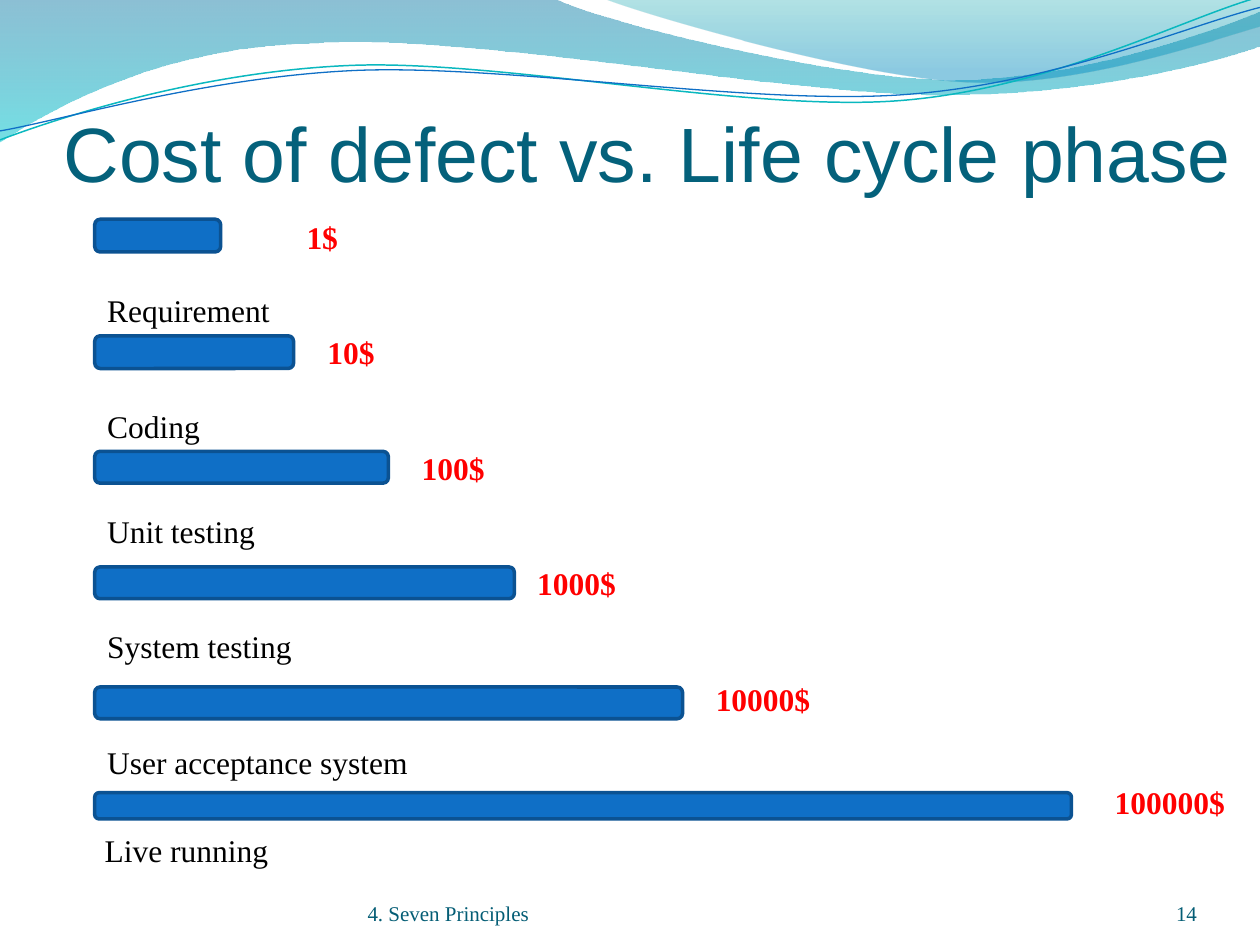
"""Build the slide that compares the cost of a defect across life cycle phases."""
from math import cos, radians, sin
from typing import Any, NamedTuple

from lxml.etree import SubElement
from pptx import Presentation
from pptx.dml.color import RGBColor
from pptx.enum.shapes import MSO_SHAPE
from pptx.enum.text import MSO_ANCHOR, MSO_AUTO_SIZE, PP_ALIGN
from pptx.oxml.ns import qn
from pptx.util import Cm, Pt

Point = tuple[float, float]
BLUE, BLUE_EDGE, TEAL = "0F6FC6", "0B5292", "0AB8BF"
BAR_LEFT = 1.91
TEXT_HEIGHT = 1.02
SERIF = "Times New Roman"
TILT = 2.7

LABEL_FONT = {"name": SERIF, "size": Pt(18), "bold": False}
COST_FONT = {**LABEL_FONT, "bold": True}
FOOTER_FONT = {"name": SERIF, "size": Pt(12)}
TITLE_FONT = {"name": "Arial", "size": Pt(44)}
GROWING = {"word_wrap": True, "auto_size": MSO_AUTO_SIZE.SHAPE_TO_FIT_TEXT}
FOOTER_FRAME = {
    "word_wrap": True, "vertical_anchor": MSO_ANCHOR.BOTTOM,
    "margin_left": 0, "margin_right": 0, "margin_top": 0, "margin_bottom": 0,
}
TITLE_FRAME = {**FOOTER_FRAME, "margin_top": Cm(0.13)}


class Area(NamedTuple):
    """A rectangle in centimetres."""
    left: float
    top: float
    width: float
    height: float


class Phase(NamedTuple):
    """A life cycle phase with its bar, its name and its cost."""
    name: str
    name_left: float
    name_top: float
    bar: Area
    cost: str
    cost_area: Area


class Stop(NamedTuple):
    """A gradient stop with its opacity in percent."""
    position: float
    colour: str
    opacity: int


class Outline(NamedTuple):
    """A start point and steps of one point (line) or three points (curve)."""
    start: Point
    steps: list[tuple[Point, ...]]


class Wave(NamedTuple):
    """A closed outline with a gradient."""
    outline: Outline
    stops: tuple[Stop, Stop]


class Ripple(NamedTuple):
    """An open line tilted about its centre."""
    outline: Outline
    centre: Point
    colour: str
    width: float


WAVES = [
    Wave(Outline((0, 0), [
        ((11.18, -0.03),),
        ((12.09, 0.43), (16.87, 1.6), (19.25, 1.6)),
        ((21.67, 1.6), (24.33, 0.66), (25.4, 0.23)),
        ((25.43, 0.91),),
        ((24.97, 1.12), (22.1, 1.93), (18.95, 1.91)),
        ((15.8, 1.91), (9.7, 0.71), (6.53, 0.86)),
        ((3.28, 0.91), (1.17, 2.11), (-0.03, 2.87)),
        ((0, 0),),
    ]), (Stop(0, "0074A1", 45), Stop(1, "00C6CF", 55))),
    Wave(Outline((12.17, -0.03), [
        ((12.93, 0.28), (17.32, 1.57), (19.53, 1.65)),
        ((21.74, 1.75), (24.41, 0.81), (25.4, 0.53)),
        ((25.4, 0),),
        ((12.17, -0.03),),
    ]), (Stop(0, "00A1A9", 30), Stop(0.8, "008BBF", 45))),
]

RIPPLES = [
    Ripple(Outline((0, 2.82), [
        ((1.22, 2.36), (4.01, 1.45), (7.04, 1.32)),
        ((10.03, 1.19), (15.06, 2.26), (18.11, 2.03)),
        ((21.16, 1.8), (23.83, 0.38), (25.35, -0.05)),
    ]), (12.67, 1.46), TEAL, 0.85),
    Ripple(Outline((0, 2.64), [
        ((1.19, 2.44), (4.17, 1.55), (7.19, 1.42)),
        ((10.24, 1.3), (15.16, 2.13), (18.21, 1.91)),
        ((21.23, 1.7), (23.9, 0.53), (25.4, 0.15)),
    ]), (12.69, 1.5), BLUE, 0.75),
]

PHASES = [
    Phase("Requirement", BAR_LEFT, 5.74, Area(BAR_LEFT, 4.42, 2.54, 0.66),
          "1$", Area(5.93, 4.27, 1.48, TEXT_HEIGHT)),
    Phase("Coding", BAR_LEFT, 8.08, Area(BAR_LEFT, 6.77, 4.01, 0.66),
          "10$", Area(6.35, 6.59, 1.48, TEXT_HEIGHT)),
    Phase("Unit testing", BAR_LEFT, 10.19, Area(BAR_LEFT, 9.1, 5.92, 0.64),
          "100$", Area(8.25, 8.92, 2.11, TEXT_HEIGHT)),
    Phase("System testing", BAR_LEFT, 12.52, Area(BAR_LEFT, 11.43, 8.46, 0.64),
          "1000$", Area(10.58, 11.25, 3.18, TEXT_HEIGHT)),
    Phase("User acceptance system", BAR_LEFT, 14.86, Area(BAR_LEFT, 13.85, 11.85, 0.64),
          "10000$", Area(14.18, 13.59, 3.18, TEXT_HEIGHT)),
    Phase("Live running", 1.86, 16.63, Area(BAR_LEFT, 15.98, 19.69, 0.53),
          "100000$", Area(22.22, 15.67, 3.18, TEXT_HEIGHT)),
]


def colour(value: str) -> RGBColor:
    """Turn a hex string into a colour."""
    return RGBColor.from_string(value)


def apply(target: Any, values: dict[str, Any]) -> None:
    """Set every format value on the target."""
    for name, value in values.items():
        setattr(target, name, value)


def turn(point: Point, centre: Point) -> Point:
    """Turn a point clockwise by the tilt about a centre."""
    angle = radians(TILT)
    x, y = point[0] - centre[0], point[1] - centre[1]
    return (centre[0] + x * cos(angle) - y * sin(angle),
            centre[1] + x * sin(angle) + y * cos(angle))


def draw_outline(shapes: Any, outline: Outline, closed: bool) -> Any:
    """Draw a freeform and join each three-point step into one curve."""
    points = [outline.start, *(point for step in outline.steps for point in step)]
    vertices = [(Cm(x), Cm(y)) for x, y in points]
    builder = shapes.build_freeform(*vertices[0])
    builder.add_line_segments(vertices[1:], close=closed)
    shape = builder.convert_to_shape()
    shape.shadow.inherit = False
    segments = iter(list(shape._element.iter(qn("a:lnTo"))))
    for step in outline.steps:
        first, *others = [next(segments) for _ in step]
        for other in others:
            first.append(other[0])
            other.getparent().remove(other)
        if others:
            first.tag = qn("a:cubicBezTo")
    return shape


def draw_wave(shapes: Any, wave: Wave) -> None:
    """Draw a closed wave with a translucent gradient."""
    shape = draw_outline(shapes, wave.outline, True)
    shape.fill.gradient()
    shape.fill.gradient_angle = 270
    for target, stop in zip(shape.fill.gradient_stops, wave.stops):
        target.position = stop.position
        target.color.rgb = colour(stop.colour)
    for element, stop in zip(shape._element.spPr.iter(qn("a:srgbClr")), wave.stops):
        SubElement(element, qn("a:alpha"), val=str(stop.opacity * 1000))
    shape.line.fill.background()


def draw_ripple(shapes: Any, ripple: Ripple) -> None:
    """Draw a tilted open line."""
    start, steps = ripple.outline
    level = Outline(turn(start, ripple.centre),
                    [tuple(turn(point, ripple.centre) for point in step) for step in steps])
    shape = draw_outline(shapes, level, False)
    shape.rotation = 360 - TILT
    shape.fill.background()
    shape.line.color.rgb = colour(ripple.colour)
    shape.line.width = Pt(ripple.width)


def draw_text(page: Any, text: str, area: Area, font: dict[str, Any], ink: str,
              frame: dict[str, Any], align: PP_ALIGN = PP_ALIGN.LEFT) -> None:
    """Draw one line of text in a box."""
    box = page.shapes.add_textbox(*map(Cm, area))
    apply(box.text_frame, frame)
    para = box.text_frame.paragraphs[0]
    para.alignment = align
    span = para.add_run()
    span.text = text
    apply(span.font, font)
    span.font.color.rgb = colour(ink)


def draw_phase(page: Any, phase: Phase) -> None:
    """Draw the bar of a phase with its name and cost."""
    bar = page.shapes.add_shape(MSO_SHAPE.ROUNDED_RECTANGLE, *map(Cm, phase.bar))
    bar.shadow.inherit = False
    bar.fill.solid()
    bar.fill.fore_color.rgb = colour(BLUE)
    apply(bar.line, {"width": Pt(2)})
    bar.line.color.rgb = colour(BLUE_EDGE)
    name_area = Area(phase.name_left, phase.name_top, 6.77, TEXT_HEIGHT)
    draw_text(page, phase.name, name_area, LABEL_FONT, "000000", GROWING)
    draw_text(page, phase.cost, phase.cost_area, COST_FONT, "FF0000", GROWING)


def main() -> None:
    """Build and save the deck."""
    deck = Presentation()
    deck.slide_width, deck.slide_height = Cm(25.4), Cm(19.05)
    page = deck.slides.add_slide(deck.slide_layouts[6])
    for wave in WAVES:
        draw_wave(page.shapes, wave)
    group = page.shapes.add_group_shape()
    for ripple in RIPPLES:
        draw_ripple(group.shapes, ripple)
    footer_top = 17.65
    draw_text(page, "Cost of defect vs. Life cycle phase", Area(1.28, 1.69, 23.7, 2.29),
              TITLE_FONT, "04617B", TITLE_FRAME)
    draw_text(page, "4. Seven Principles", Area(7.41, footer_top, 9.31, TEXT_HEIGHT),
              FOOTER_FONT, "045D75", FOOTER_FRAME)
    draw_text(page, "14", Area(22.01, footer_top, 2.12, TEXT_HEIGHT),
              FOOTER_FONT, "045D75", FOOTER_FRAME, PP_ALIGN.RIGHT)
    for phase in PHASES:
        draw_phase(page, phase)
    deck.save("out.pptx")


if __name__ == "__main__":
    main()
